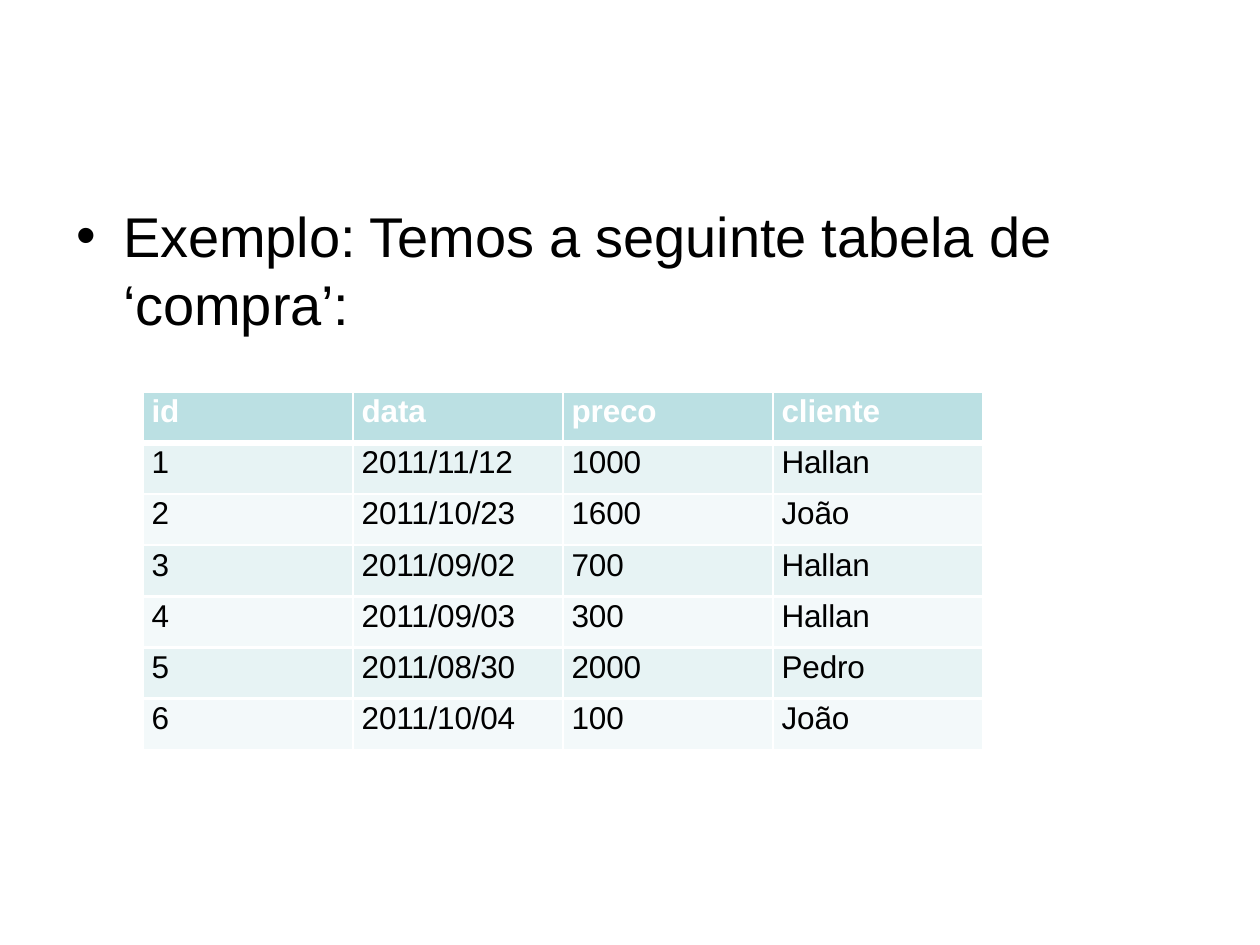
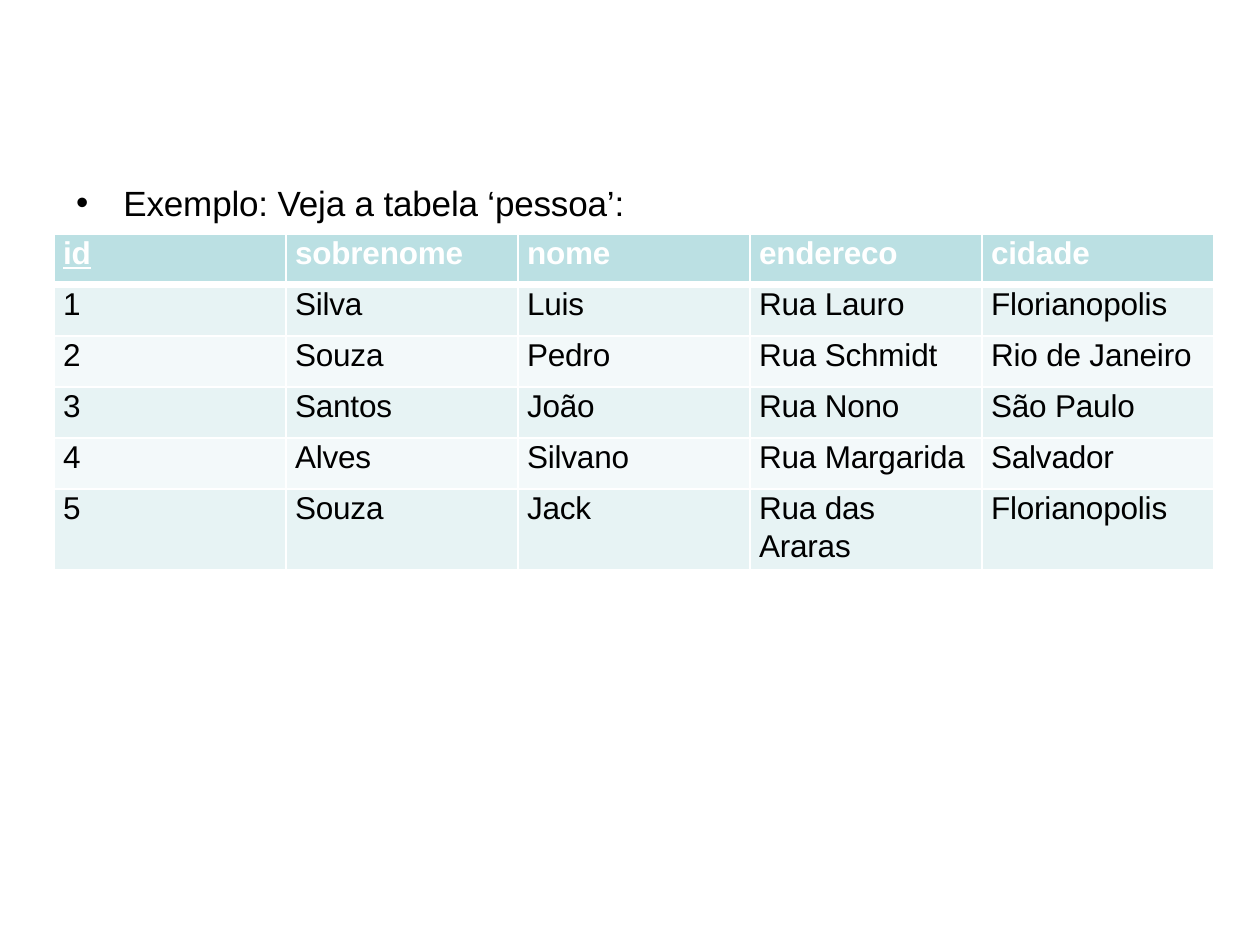
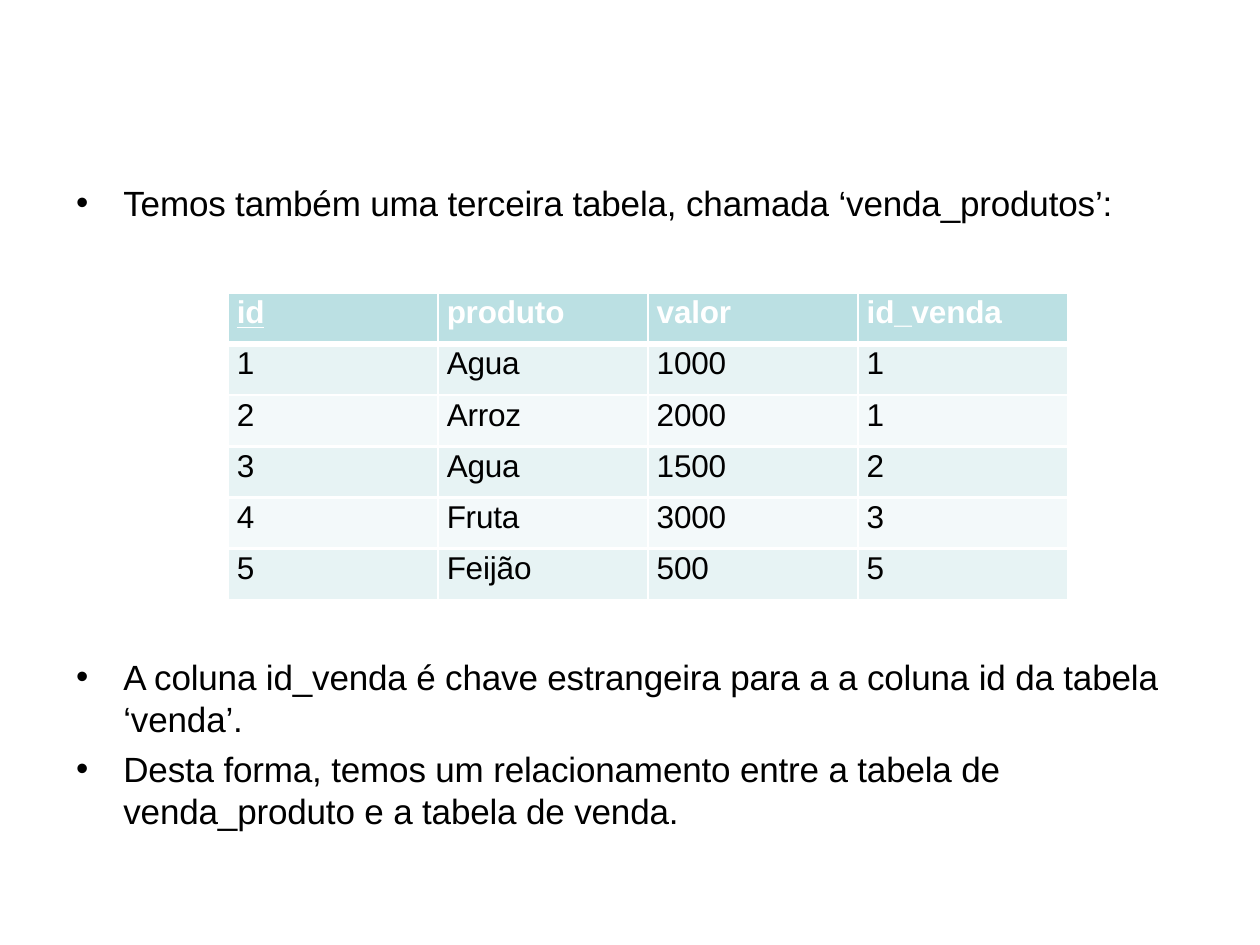
from dataclasses import dataclass

from lxml.etree import SubElement
from pptx import Presentation
from pptx.dml.color import RGBColor
from pptx.enum.text import MSO_ANCHOR, MSO_AUTO_SIZE, PP_ALIGN
from pptx.oxml.ns import qn
from pptx.util import Length, Pt

# Shared style
FONT = "Arial"
BLACK = RGBColor(0x00, 0x00, 0x00)
WHITE = RGBColor(0xFF, 0xFF, 0xFF)
HEADER_FILL = RGBColor(0xBB, 0xE0, 0xE3)
ROW_FILLS = (RGBColor(0xE7, 0xF3, 0xF4), RGBColor(0xF3, 0xF9, 0xFA))
LETTER_SPACING = "-10"
THIN_BORDER = Pt(1.5)
HEADER_BORDER = Pt(4.25)
ROW_HEIGHT = Pt(29.2)
LIST_LEFT = Pt(42.5)
CONTENT_LAYOUT = 1
TWO_CONTENT_LAYOUT = 3


@dataclass(frozen=True)
class BulletList:
    items: tuple[str, ...]
    top: Length
    width: Length
    height: Length
    size: Length = Pt(20)
    line_spacing: float = 1.0


@dataclass(frozen=True)
class DataTable:
    rows: tuple[tuple[str, ...], ...]
    left: Length
    top: Length
    column_width: Length
    key_column: bool = True
    last_row_height: Length = ROW_HEIGHT


@dataclass(frozen=True)
class SlideContent:
    lists: tuple[BulletList, ...]
    table: DataTable


SLIDES = (
    SlideContent(
        lists=(
            BulletList(("Exemplo: Temos a seguinte tabela de ‘compra’:",),
                       Pt(113), Pt(565), Pt(79), size=Pt(32), line_spacing=1.01),
        ),
        table=DataTable(
            rows=(
                ("id", "data", "preco", "cliente"),
                ("1", "2011/11/12", "1000", "Hallan"),
                ("2", "2011/10/23", "1600", "João"),
                ("3", "2011/09/02", "700", "Hallan"),
                ("4", "2011/09/03", "300", "Hallan"),
                ("5", "2011/08/30", "2000", "Pedro"),
                ("6", "2011/10/04", "100", "João"),
            ),
            left=Pt(81.7), top=Pt(224), column_width=Pt(120), key_column=False,
        ),
    ),
    SlideContent(
        lists=(
            BulletList(("Exemplo: Veja a tabela ‘pessoa’:",),
                       Pt(101.5), Pt(319), Pt(26)),
        ),
        table=DataTable(
            rows=(
                ("id", "sobrenome", "nome", "endereco", "cidade"),
                ("1", "Silva", "Luis", "Rua Lauro", "Florianopolis"),
                ("2", "Souza", "Pedro", "Rua Schmidt", "Rio de Janeiro"),
                ("3", "Santos", "João", "Rua Nono", "São Paulo"),
                ("4", "Alves", "Silvano", "Rua Margarida", "Salvador"),
                ("5", "Souza", "Jack", "Rua das\nAraras", "Florianopolis"),
            ),
            left=Pt(31), top=Pt(133.5), column_width=Pt(132.6),
            last_row_height=Pt(46.2),
        ),
    ),
    SlideContent(
        lists=(
            BulletList(("Temos também uma terceira tabela, chamada ‘venda_produtos’:",),
                       Pt(101.5), Pt(601), Pt(26)),
            BulletList(
                ("A coluna id_venda é chave estrangeira para a a coluna id da tabela ‘venda’.",
                 "Desta forma, temos um relacionamento entre a tabela de "
                 "venda_produto e a tabela de venda."),
                Pt(372.3), Pt(627), Pt(103)),
        ),
        table=DataTable(
            rows=(
                ("id", "produto", "valor", "id_venda"),
                ("1", "Agua", "1000", "1"),
                ("2", "Arroz", "2000", "1"),
                ("3", "Agua", "1500", "2"),
                ("4", "Fruta", "3000", "3"),
                ("5", "Feijão", "500", "5"),
            ),
            left=Pt(130.3), top=Pt(167.5), column_width=Pt(120),
        ),
    ),
)


def write_text(paragraph, text: str, *, size: Length, color: RGBColor = BLACK,
               bold: bool = False, underline: bool = False,
               line_spacing: Length | float = 1.0,
               space_before: Length = Pt(0)) -> None:
    paragraph.alignment = PP_ALIGN.LEFT
    paragraph.line_spacing = line_spacing
    paragraph.space_before = space_before
    for index, line in enumerate(text.split("\n")):
        if index:
            paragraph.add_line_break()
        run = paragraph.add_run()
        run.text = line
        run.font.name = FONT
        run.font.size = size
        run.font.bold = bold
        run.font.underline = underline
        run.font.color.rgb = color
        run._r.get_or_add_rPr().set("spc", LETTER_SPACING)


def fill_list(placeholder, bullet_list: BulletList) -> None:
    placeholder.left, placeholder.top = LIST_LEFT, bullet_list.top
    placeholder.width, placeholder.height = bullet_list.width, bullet_list.height
    frame = placeholder.text_frame
    frame.word_wrap = True
    frame.auto_size = MSO_AUTO_SIZE.SHAPE_TO_FIT_TEXT
    frame.margin_left = frame.margin_right = frame.margin_bottom = 0
    frame.margin_top = Pt(2)
    for index, item in enumerate(bullet_list.items):
        paragraph = frame.add_paragraph() if index else frame.paragraphs[0]
        properties = paragraph._p.get_or_add_pPr()
        properties.set("marL", str(Pt(28)))
        properties.set("indent", str(-Pt(27)))
        write_text(paragraph, item, size=bullet_list.size,
                   line_spacing=bullet_list.line_spacing,
                   space_before=Pt(5) if index else Pt(0))


def add_borders(cell, row_index: int) -> None:
    widths = {
        "a:lnL": THIN_BORDER,
        "a:lnR": THIN_BORDER,
        "a:lnT": HEADER_BORDER if row_index == 1 else THIN_BORDER,
        "a:lnB": HEADER_BORDER if row_index == 0 else THIN_BORDER,
    }
    properties = cell._tc.get_or_add_tcPr()
    for tag, width in widths.items():
        line = SubElement(properties, qn(tag), w=str(width))
        fill = SubElement(line, qn("a:solidFill"))
        SubElement(fill, qn("a:srgbClr"), val=str(WHITE))


def add_data_table(slide, data: DataTable) -> None:
    row_count, column_count = len(data.rows), len(data.rows[0])
    height = ROW_HEIGHT * (row_count - 1) + data.last_row_height
    table = slide.shapes.add_table(row_count, column_count, data.left, data.top,
                                   data.column_width * column_count, height).table
    for column in table.columns:
        column.width = data.column_width
    for row_index, values in enumerate(data.rows):
        is_header = row_index == 0
        is_last = row_index == row_count - 1
        table.rows[row_index].height = data.last_row_height if is_last else ROW_HEIGHT
        for column_index, value in enumerate(values):
            cell = table.cell(row_index, column_index)
            cell.margin_left = Pt(5)
            cell.margin_right = cell.margin_top = cell.margin_bottom = 0
            cell.vertical_anchor = MSO_ANCHOR.TOP
            add_borders(cell, row_index)
            cell.fill.solid()
            cell.fill.fore_color.rgb = (
                HEADER_FILL if is_header else ROW_FILLS[(row_index - 1) % 2])
            write_text(cell.text_frame.paragraphs[0], value, size=Pt(18),
                       color=WHITE if is_header else BLACK, bold=is_header,
                       underline=is_header and data.key_column and column_index == 0,
                       line_spacing=Pt(21.4))


def add_content_slide(presentation, content: SlideContent) -> None:
    layout = TWO_CONTENT_LAYOUT if len(content.lists) == 2 else CONTENT_LAYOUT
    slide = presentation.slides.add_slide(presentation.slide_layouts[layout])
    # These slides carry no title
    title = slide.shapes.title.element
    title.getparent().remove(title)
    for placeholder, bullet_list in zip(slide.placeholders, content.lists):
        fill_list(placeholder, bullet_list)
    add_data_table(slide, content.table)


def main() -> None:
    presentation = Presentation()
    presentation.slide_width, presentation.slide_height = Pt(720), Pt(540)
    for content in SLIDES:
        add_content_slide(presentation, content)
    presentation.save("out.pptx")


if __name__ == "__main__":
    main()
